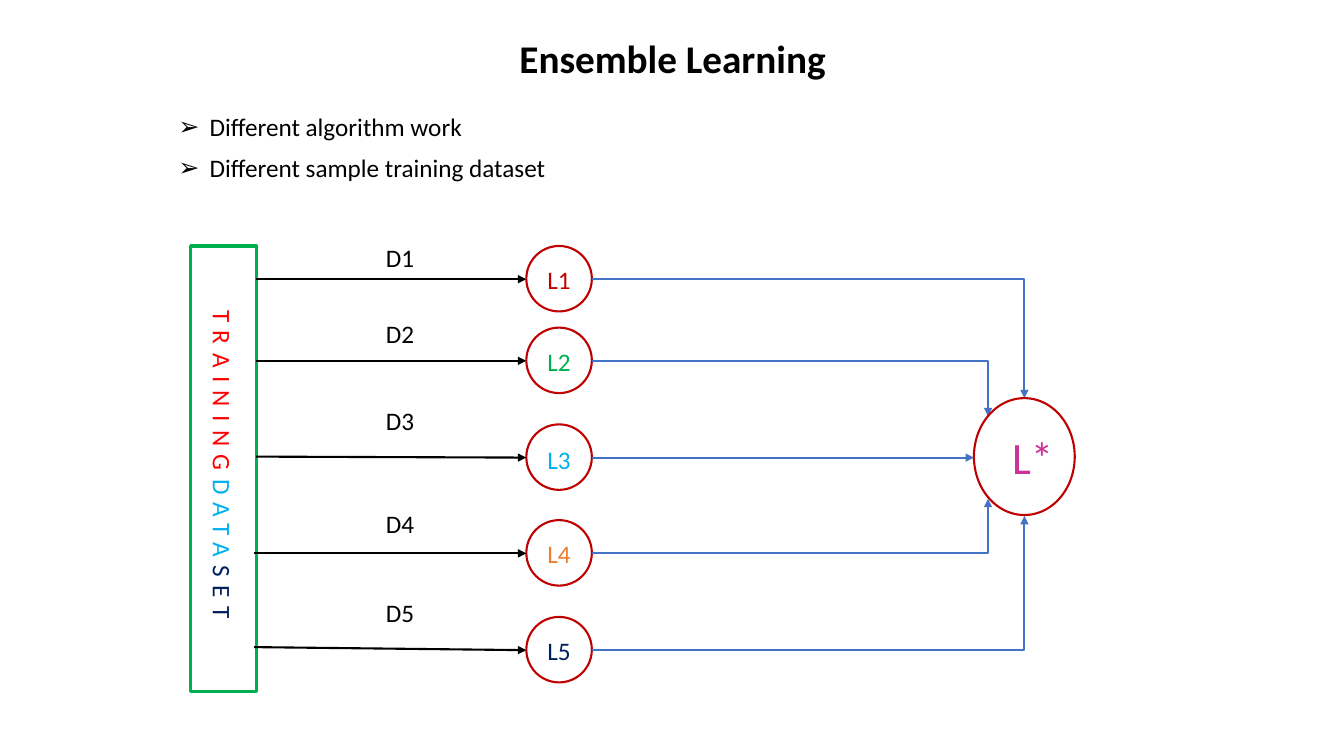
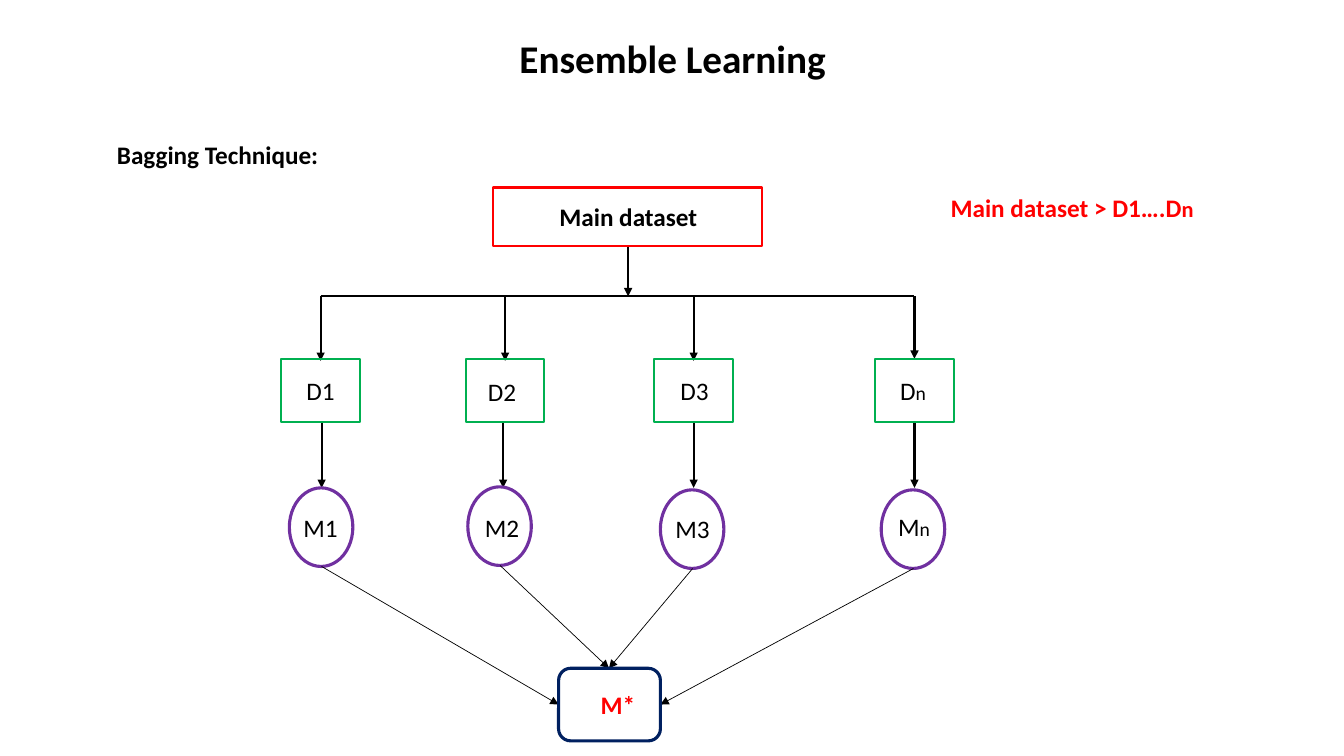
from lxml.etree import SubElement as Sub
from pptx import Presentation
from pptx.dml.color import RGBColor
from pptx.enum.shapes import MSO_CONNECTOR as Link, MSO_SHAPE as Kind
from pptx.enum.text import MSO_ANCHOR as Anchor, MSO_AUTO_SIZE as Fit, PP_ALIGN as Align
from pptx.oxml.ns import qn
from pptx.util import Inches, Pt

# Shared style
BLACK, RED, GREEN, NAVY = "000000", "FF0000", "00B050", "002060"
SKY, BLUE, WINE, ORANGE = "00B0F0", "4472C4", "C00000", "ED7D31"
PINK, PURPLE = "CC3399", "7030A0"
FONT = "Calibri"


def paint(code):
    return RGBColor.from_string(code)


def write(par, text, size=18, color=BLACK, bold=False, track=0):
    run = par.add_run()
    run.text = text
    font = run.font
    font.name, font.size, font.bold = FONT, Pt(size), bold
    font.color.rgb = paint(color)
    if track:
        run._r.get_or_add_rPr().set("spc", str(track * 100))


class Deck:
    def __init__(self):
        self.file = Presentation()
        self.file.slide_width = Inches(13.33)
        self.file.slide_height = Inches(7.5)

    def start(self, title):
        self.slide = self.file.slides.add_slide(self.file.slide_layouts[0])
        self.items = self.slide.shapes
        frame = self.place(self.items.title, 1.67, 0.28, 10, 0.58)
        frame.vertical_anchor = Anchor.BOTTOM
        par = frame.paragraphs[0]
        par.alignment, par.line_spacing = Align.CENTER, 0.9
        write(par, title, size=28, bold=True)

    def place(self, item, x, y, w, h):
        item.left, item.top = Inches(x), Inches(y)
        item.width, item.height = Inches(w), Inches(h)
        frame = item.text_frame
        frame.word_wrap, frame.auto_size = True, Fit.NONE
        return frame

    def body(self, lines, x, y, w, h, mark=None, bold=False):
        frame = self.place(self.slide.placeholders[1], x, y, w, h)
        frame.vertical_anchor = Anchor.TOP
        for i, line in enumerate(lines):
            par = frame.add_paragraph() if i else frame.paragraphs[0]
            par.alignment, par.line_spacing = Align.LEFT, 0.9
            par.space_before = Pt(10)
            write(par, line, bold=bold)
            if mark:
                props = par._p.get_or_add_pPr()
                props.set("marL", str(Inches(0.31)))
                props.set("indent", str(-Inches(0.31)))
                Sub(props, qn("a:buChar")).set("char", mark)

    def label(self, parts, x, y, w, h=0.4, turn=0, wrap=False, **style):
        box = self.items.add_textbox(Inches(x), Inches(y), Inches(w), Inches(h))
        box.rotation = turn
        frame = box.text_frame
        frame.word_wrap, frame.auto_size = wrap, Fit.SHAPE_TO_FIT_TEXT
        if isinstance(parts, str):
            parts = [(parts, {})]
        for text, extra in parts:
            write(frame.paragraphs[0], text, **{**style, **extra})

    def shape(self, kind, x, y, w, h, color, weight=1.5):
        item = self.items.add_shape(kind, Inches(x), Inches(y), Inches(w), Inches(h))
        item.shadow.inherit = False
        item.fill.background()
        item.line.color.rgb, item.line.width = paint(color), Pt(weight)

    def line(self, x1, y1, x2, y2, color=BLACK, weight=1.5, arrow=True, bent=False):
        kind = Link.ELBOW if bent else Link.STRAIGHT
        item = self.items.add_connector(kind, Inches(x1), Inches(y1), Inches(x2), Inches(y2))
        item.line.color.rgb, item.line.width = paint(color), Pt(weight)
        props = item._element.spPr
        if bent:
            props.find(qn("a:prstGeom")).set("prst", "bentConnector2")
        if arrow:
            Sub(props.find(qn("a:ln")), qn("a:tailEnd")).set("type", "triangle")
        Sub(props, qn("a:effectLst"))


deck = Deck()

# Slide 1: learners
deck.start("Ensemble Learning")
deck.body(["Different algorithm work", "Different sample training dataset"],
          1.67, 1.09, 5.09, 0.91, mark="➢")
deck.shape(Kind.RECTANGLE, 1.89, 2.44, 0.65, 4.42, GREEN, 2.25)
deck.label([("TRAINING", {"color": RED}), ("DATA", {"color": SKY}), ("SET", {"color": NAVY})],
           0.33, 4.66, 3.76, turn=90, wrap=True, track=6)

# Rows: middle, learner top, data top, arrow start, text colour, joint with L*
rows = [
    (2.77, 2.57, 2.35, (2.54, 2.77), WINE, (10.16, 3.95)),
    (3.58, 3.39, 3.11, (2.54, 3.58), GREEN, (9.8, 4.13)),
    (4.54, 4.36, 3.97, (2.54, 4.53), SKY, (9.66, 4.54)),
    (5.49, 5.29, 4.99, (2.52, 5.49), ORANGE, (9.8, 4.95)),
    (6.45, 6.25, 5.88, (2.52, 6.42), NAVY, (10.16, 5.12)),
]
for i, (mid, top, high, tail, color, joint) in enumerate(rows, 1):
    deck.shape(Kind.OVAL, 5.22, mid - 0.33, 0.65, 0.65, WINE)
    deck.label(f"L{i}", 5.33, top, 0.44, color=color)
    deck.label(f"D{i}", 3.73, high, 0.49)
    deck.line(*tail, 5.22, mid)
    deck.line(5.87, mid, *joint, color=BLUE, bent=joint[1] != mid)
deck.shape(Kind.OVAL, 9.66, 3.95, 1, 1.16, WINE)
deck.label("L*", 9.94, 4.21, 0.62, 0.64, size=32, color=PINK)

# Slide 2: bagging
deck.start("Ensemble Learning")
deck.body(["Bagging Technique:"], 1.06, 1.37, 2.73, 0.49, bold=True)
deck.shape(Kind.RECTANGLE, 4.89, 1.86, 2.67, 0.58, RED)
deck.label("Main dataset", 5.45, 1.95, 1.58, bold=True)
deck.label([("Main dataset > D1….D", {}), ("n", {"size": 16})],
           9.33, 1.86, 2.64, color=RED, bold=True)
deck.line(6.23, 2.45, 6.23, 2.94)
deck.line(3.18, 2.94, 9.07, 2.94, arrow=False)

# Columns: index, drop x, drop end, box left, D at, model x, oval at, M at, joint with M*
cols = [
    ("1", 3.18, 3.58, 2.79, (2.94, 3.67), 3.19, (2.87, 4.84), (2.91, 5.03), (5.54, 6.99)),
    ("2", 5.01, 3.58, 4.62, (4.74, 3.68), 4.99, (4.64, 4.83), (4.71, 5.03), (6.04, 6.63)),
    ("3", 6.88, 3.58, 6.49, (6.65, 3.67), 6.88, (6.55, 4.86), (6.6, 5.04), (6.04, 6.63)),
    ("n", 9.07, 3.56, 8.68, (8.83, 3.67), 9.07, (8.74, 4.86), (8.81, 5.02), (6.55, 6.99)),
]
for sign, drop, end, left, data, stem, oval, model, joint in cols:
    small = {"size": 14} if sign == "n" else {}
    trim = 0.03 if small else 0
    deck.line(drop, 2.94, drop, end)
    deck.shape(Kind.RECTANGLE, left, 3.56, 0.78, 0.63, GREEN)
    deck.label([("D", {}), (sign, small)], *data, 0.49 - trim)
    deck.line(stem, 4.2, stem, 4.84)
    deck.shape(Kind.OVAL, *oval, 0.63, 0.78, PURPLE, 2.25)
    deck.label([("M", {}), (sign, small)], *model, 0.55 - trim)
    deck.line(oval[0] + 0.32, oval[1] + 0.78, *joint, weight=0.5)
deck.shape(Kind.ROUNDED_RECTANGLE, 5.54, 6.63, 1.01, 0.72, NAVY, 2.25)
deck.label("M*", 5.86, 6.79, 0.54, wrap=True, color=RED, bold=True)

deck.file.save("out.pptx")
